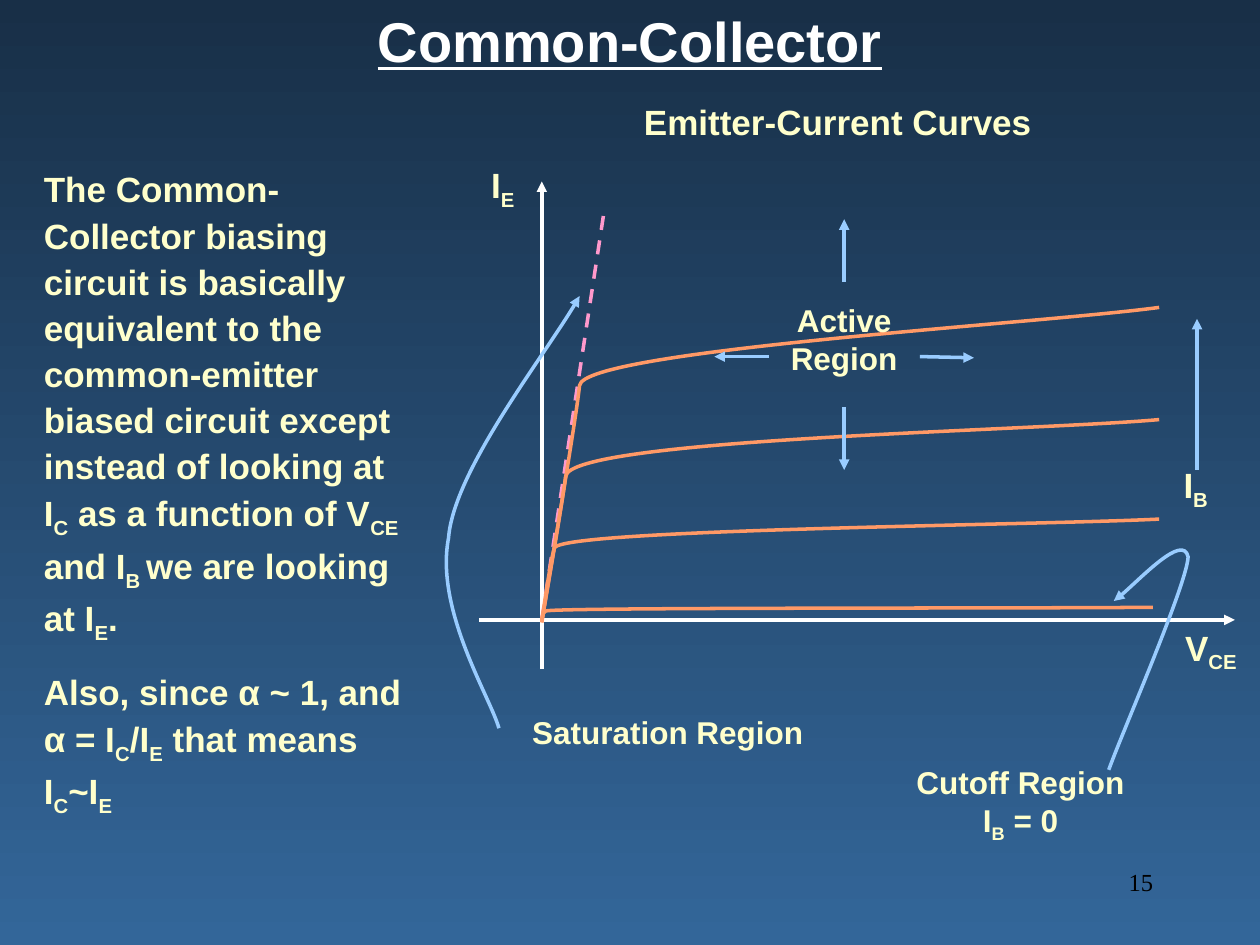
"""Build the common-collector slide with its emitter-current curves."""
from lxml import etree
from pptx import Presentation
from pptx import util as u
from pptx.dml.color import RGBColor
from pptx.enum import dml, shapes, text
from pptx.oxml import ns

WHITE, CREAM, BLUE, ORANGE, PINK = "FFFFFF", "FFFFCC", "99CCFF", "FF9966", "FF99CC"
CENTER, LEFT, RIGHT = text.PP_ALIGN.CENTER, text.PP_ALIGN.LEFT, text.PP_ALIGN.RIGHT

BODY = [
    "The Common-Collector biasing circuit is basically equivalent to the common-emitter "
    "biased circuit except instead of looking at I_C_ as a function of V_CE_ and I_B _"
    "we are looking at I_E_.",
    "Also, since α ~ 1, and α = I_C_/I_E_ that means I_C_~I_E_",
]
TEXTS = [
    (["Common-Collector"], (1, 0, 8, 0.64), dict(size=32, color=WHITE, underline=True)),
    (["Emitter-Current Curves"], (4.5, 0.75, 4.3, 0.44), {}),
    (["V_CE_"], (9.22, 4.92, 0.78, 0.48), {}),
    (["I_E_"], (3.6, 1.25, 0.78, 0.48), {}),
    (["Active Region"], (5.9, 2.34, 1.6, 0.7), dict(size=18)),
    (["I_B_"], (9.1, 3.63, 0.78, 0.48), {}),
    (["Saturation Region"], (3.7, 5.61, 3.2, 0.4), dict(size=18)),
    (["Cutoff Region", "I_B_ = 0"], (6.9, 6.01, 2.4, 0.74), dict(size=18)),
    (BODY, (0.25, 1.25, 3.17, 5.29), dict(align=LEFT, spacing=1.1, gap=12.5)),
    (["15"], (7.17, 6.83, 2.08, 0.5),
     dict(size=14, name="Times New Roman", color="000000", bold=False, align=RIGHT)),
]
AXES = [((4.3, 5.31), (4.3, 1.44)), ((3.8, 4.92), (9.8, 4.92))]
SATURATION_LIMIT = ((4.3, 4.92), (4.8, 1.64))
REGION_ARROWS = [
    ((7.3, 2.83), (7.73, 2.84)),
    ((6.7, 2.24), (6.7, 1.74)),
    ((6.1, 2.83), (5.67, 2.83)),
    ((6.7, 3.23), (6.7, 3.73)),
    ((9.5, 3.73), (9.5, 2.53)),
]
CURRENT_CURVES = [
    [(4.3, 4.92), (4.31, 4.9), (4.3, 4.87), (4.33, 4.85),
     (4.37, 4.82), (8.14, 4.83), (9.15, 4.82)],
    [(4.3, 4.92), (4.32, 4.82), (4.36, 4.49), (4.4, 4.35),
     (4.44, 4.2), (8.2, 4.17), (9.2, 4.12)],
    [(4.3, 4.94), (4.33, 4.75), (4.45, 4.08), (4.49, 3.78),
     (4.53, 3.48), (8.22, 3.42), (9.2, 3.33)],
    [(4.3, 4.94), (4.35, 4.63), (4.57, 3.35), (4.6, 3.06),
     (4.63, 2.78), (8.24, 2.57), (9.2, 2.44)],
]
POINTER_CURVES = [
    [(3.96, 5.78), (3.89, 5.53), (3.45, 4.84), (3.56, 4.27),
     (3.6, 3.74), (4.38, 2.75), (4.6, 2.35)],
    [(8.8, 6.11), (8.9, 5.83), (9.42, 4.64), (9.43, 4.42),
     (9.39, 4.23), (8.96, 4.69), (8.84, 4.77)],
]


def rgb(value):
    """Turn a hex string into a colour."""
    return RGBColor.from_string(value)


def add_text(page, lines, place, size=20, name="Arial", color=CREAM, bold=True,
             underline=None, align=CENTER, spacing=None, gap=0):
    """Add a text box; parts between underscores become subscripts."""
    box = page.shapes.add_textbox(*map(u.Inches, place))
    frame = box.text_frame
    frame.word_wrap = True
    for index, line in enumerate(lines):
        para = frame.paragraphs[0] if index == 0 else frame.add_paragraph()
        para.alignment = align
        para.line_spacing = spacing
        para.space_before = u.Pt(gap if index else 0)
        for number, part in enumerate(line.split("_")):
            if not part:
                continue
            span = para.add_run()
            span.text = part
            font = span.font
            font.size, font.name, font.bold, font.underline = u.Pt(size), name, bold, underline
            font.color.rgb = rgb(color)
            if number % 2:
                span._r.get_or_add_rPr().set("baseline", "-25000")


def style_line(shape, color, arrow=False, dashed=False):
    """Set the stroke of a connector or freeform."""
    line = shape.line
    line.width = u.Pt(2)
    line.color.rgb = rgb(color)
    if dashed:
        line.dash_style = dml.MSO_LINE.DASH
    if arrow:
        etree.SubElement(line._get_or_add_ln(), ns.qn("a:tailEnd"), type="triangle")


def add_line(page, start, end, color, **style):
    """Add a straight connector."""
    line = page.shapes.add_connector(
        shapes.MSO_CONNECTOR.STRAIGHT, *map(u.Inches, (*start, *end)))
    style_line(line, color, **style)
    etree.SubElement(line._element.spPr, ns.qn("a:effectLst"))


def add_curve(page, points, color, **style):
    """Add an open freeform whose points after the first form cubic Bezier triples."""
    start, *rest = [tuple(map(u.Inches, point)) for point in points]
    builder = page.shapes.build_freeform(*start)
    builder.add_line_segments(rest, close=False)
    curve = builder.convert_to_shape()
    segments = list(curve._element.iter(ns.qn("a:lnTo")))
    for first in range(0, len(segments), 3):
        bezier, *others = segments[first:first + 3]
        outline = bezier.getparent()
        cubic = etree.SubElement(outline, ns.qn("a:cubicBezTo"))
        for segment in (bezier, *others):
            cubic.append(segment[0])
            outline.remove(segment)
    curve.fill.background()
    curve.shadow.inherit = False
    style_line(curve, color, **style)


def main():
    """Create and save the deck."""
    deck = Presentation()
    deck.slide_width, deck.slide_height = u.Inches(10), u.Inches(7.5)
    page = deck.slides.add_slide(deck.slide_layouts[6])
    fill = page.background.fill
    fill.gradient()
    fill.gradient_angle = 270
    for stop, color in zip(fill.gradient_stops, ("182F47", "336699")):
        stop.color.rgb = rgb(color)

    for start, end in AXES:
        add_line(page, start, end, WHITE, arrow=True)
    add_line(page, *SATURATION_LIMIT, PINK, dashed=True)
    for points in CURRENT_CURVES:
        add_curve(page, points, ORANGE)
    for start, end in REGION_ARROWS:
        add_line(page, start, end, BLUE, arrow=True)
    for points in POINTER_CURVES:
        add_curve(page, points, BLUE, arrow=True)
    for lines, place, style in TEXTS:
        add_text(page, lines, place, **style)
    deck.save("out.pptx")


if __name__ == "__main__":
    main()
